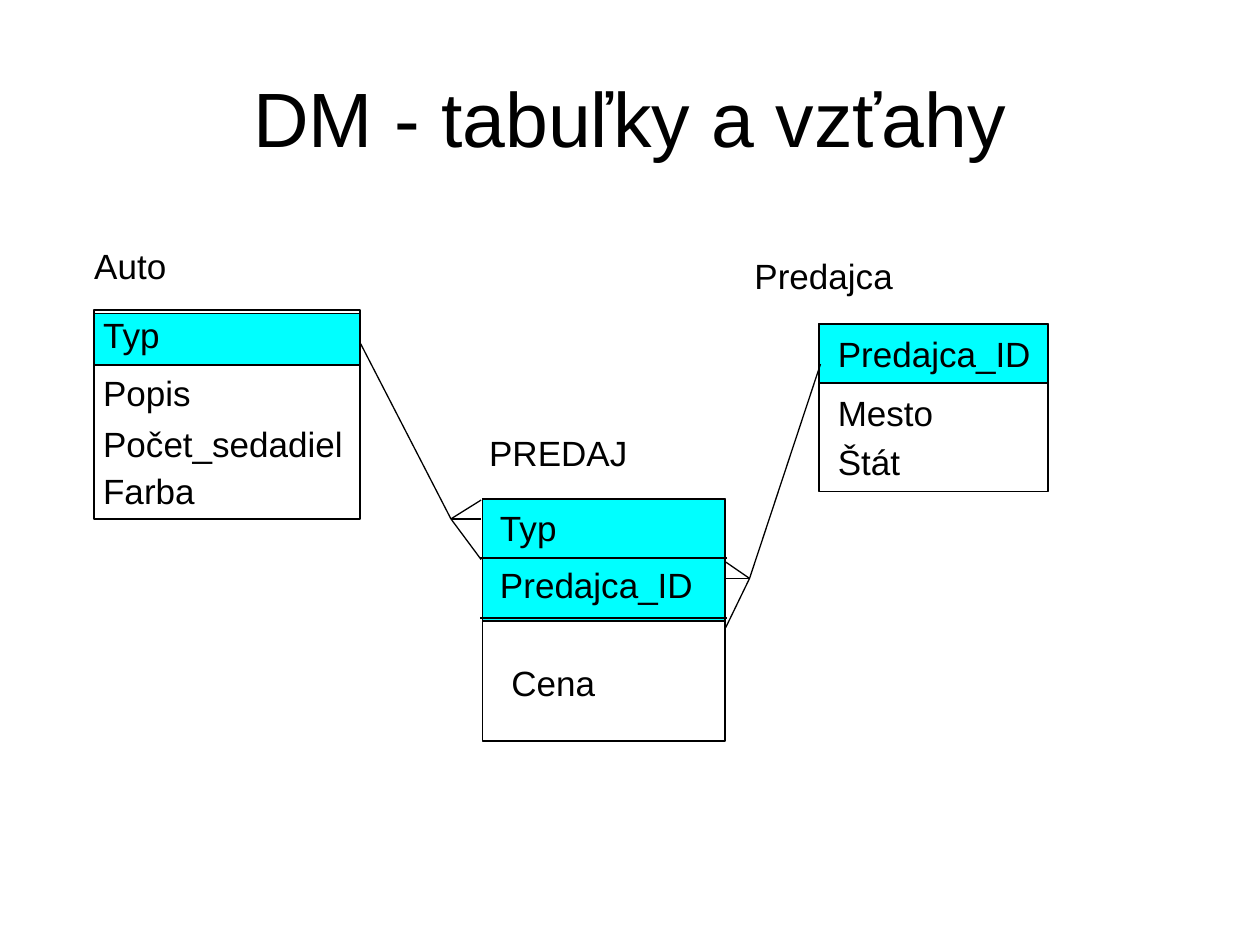
from lxml import etree
from pptx import Presentation
from pptx.dml.color import RGBColor
from pptx.enum.shapes import MSO_CONNECTOR, MSO_SHAPE
from pptx.enum.text import MSO_ANCHOR, PP_ALIGN
from pptx.oxml.ns import qn
from pptx.util import Cm, Pt

BLACK = RGBColor(0x00, 0x00, 0x00)
WHITE = RGBColor(0xFF, 0xFF, 0xFF)
CYAN = RGBColor(0x00, 0xFF, 0xFF)
RECTANGLE = MSO_SHAPE.RECTANGLE
STRAIGHT = MSO_CONNECTOR.STRAIGHT
FONT = "Arial"

# Each entity: outline box, key box (left, top, width, height in cm)
ENTITIES = [
    ((16.51, 6.53, 4.62, 3.38), (16.51, 6.53, 4.62, 1.19)),
    ((1.9, 6.25, 5.36, 4.22), (1.9, 6.32, 5.36, 1.04)),
    ((9.73, 10.06, 4.88, 4.88), (9.73, 10.06, 4.88, 2.46)),
]

# Entity names and attributes: text, left, top, width, height in cm
LABELS = [
    ("Auto", 1.9, 4.93, 3.23, 0.79),
    ("Typ", 2.08, 6.32, 3.99, 1.07),
    ("Popis", 2.08, 7.49, 4.42, 0.99),
    ("Počet_sedadiel", 2.08, 8.51, 5.18, 0.79),
    ("Farba", 2.08, 9.47, 3.02, 0.71),
    ("Predajca", 15.21, 5.13, 8.69, 0.99),
    ("Predajca_ID", 16.89, 6.71, 4.06, 1.04),
    ("Mesto", 16.89, 7.9, 4.45, 1.19),
    ("Štát", 16.89, 8.89, 3.15, 0.79),
    ("PREDAJ", 9.86, 8.69, 3.68, 0.99),
    ("Typ", 10.08, 10.21, 2.77, 0.86),
    ("Predajca_ID", 10.08, 11.35, 4.24, 1.12),
    ("Cena", 10.31, 13.34, 2.67, 0.79),
]

# Each relationship: start, fork point, ends of the crow's foot
RELATIONSHIPS = [
    ((7.26, 6.91), (9.09, 10.46), [(9.7, 10.08), (9.7, 10.46), (9.7, 11.28)]),
    ((16.54, 7.34), (15.11, 11.66), [(14.63, 11.33), (14.63, 11.66), (14.63, 12.65)]),
]


def style_text(tf, size):
    """Format every run of a text frame."""
    for p in tf.paragraphs:
        for r in p.runs:
            r.font.name = FONT
            r.font.size = Pt(size)
            r.font.color.rgb = BLACK


def add_line(start, end, width):
    """Draw a black straight line between two points in cm."""
    line = slide.shapes.add_connector(STRAIGHT, *map(Cm, start + end))
    line.line.color.rgb = BLACK
    line.line.width = Pt(width)
    etree.SubElement(line._element.spPr, qn("a:effectLst"))


prs = Presentation()
prs.slide_width, prs.slide_height = Cm(25.4), Cm(19.05)
slide = prs.slides.add_slide(prs.slide_layouts[5])

title = slide.shapes.title
title.left, title.top, title.width, title.height = map(Cm, (1.27, 0.76, 22.86, 3.18))
tf = title.text_frame
tf.text = "DM - tabuľky a vzťahy"
tf.vertical_anchor = MSO_ANCHOR.MIDDLE
tf.paragraphs[0].alignment = PP_ALIGN.CENTER
style_text(tf, 44)

for boxes in ENTITIES:
    for box, color in zip(boxes, (WHITE, CYAN)):
        sp = slide.shapes.add_shape(RECTANGLE, *map(Cm, box))
        sp.shadow.inherit = False
        sp.fill.solid()
        sp.fill.fore_color.rgb = color
        sp.line.color.rgb = BLACK
        sp.line.width = Pt(1)

# Dividers under the two key attributes of PREDAJ
for y in (11.25, 12.46):
    add_line((9.68, y), (14.66, y), 1)

for start, fork, toes in RELATIONSHIPS:
    add_line(start, fork, 0.75)
    for toe in toes:
        add_line(fork, toe, 0.75)

for text, *box in LABELS:
    tf = slide.shapes.add_textbox(*map(Cm, box)).text_frame
    tf.word_wrap = True
    tf.margin_left = tf.margin_top = tf.margin_right = tf.margin_bottom = 0
    tf.text = text
    style_text(tf, 20)

prs.save("out.pptx")
